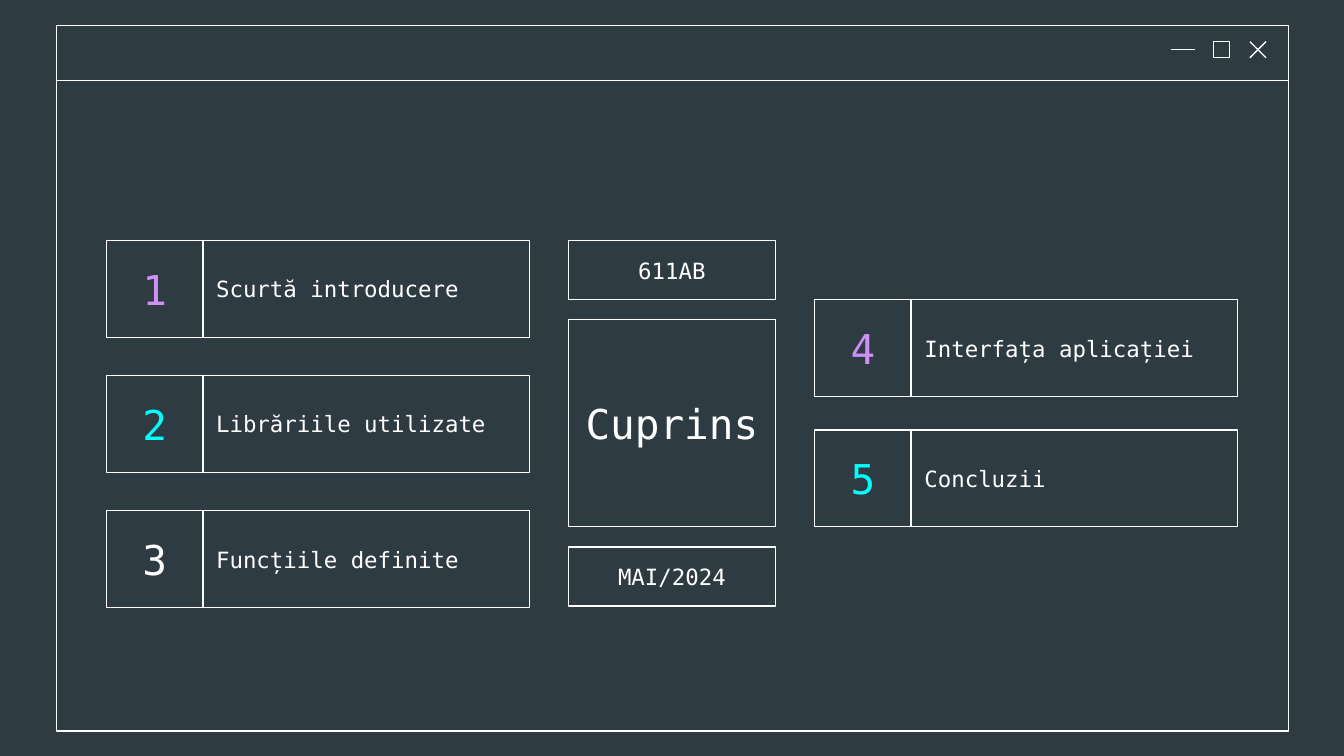
from pptx import Presentation
from pptx.dml.color import RGBColor
from pptx.enum.shapes import MSO_CONNECTOR as Link, MSO_SHAPE as Shape
from pptx.enum.text import MSO_ANCHOR as Anchor, PP_ALIGN as Align
from pptx.oxml.ns import qn
from pptx.util import Inches, Pt
from lxml.etree import SubElement

WHITE, VIOLET, CYAN = "FFFFFF", "CE90F7", "00FFFF"


def color(text):
    return RGBColor.from_string(text)


class Board:
    face = "DejaVu Sans Mono"
    ink = WHITE
    back = "2F3B42"
    width = 0.75
    frame = {"word_wrap": True, "vertical_anchor": Anchor.MIDDLE}
    frame.update({f"margin_{side}": Inches(0.1)
                  for side in ("left", "top", "right", "bottom")})

    def __init__(self, deck):
        self.slide = deck.slides.add_slide(deck.slide_layouts[6])
        fill = self.slide.background.fill
        fill.solid()
        fill.fore_color.rgb = color(self.back)

    def stroke(self, item):
        item.line.color.rgb = color(self.ink)
        item.line.width = Pt(self.width)

    def box(self, left, top, width, height):
        item = self.slide.shapes.add_shape(
            Shape.RECTANGLE, *map(Inches, (left, top, width, height)))
        item.shadow.inherit = False
        item.fill.background()
        self.stroke(item)
        return item

    def line(self, *ends):
        item = self.slide.shapes.add_connector(
            Link.STRAIGHT, *map(Inches, ends))
        self.stroke(item)
        SubElement(item._element.spPr, qn("a:effectLst"))

    def label(self, place, text, size=12, ink=WHITE, align=Align.CENTER):
        frame = self.box(*place).text_frame
        for name, value in self.frame.items():
            setattr(frame, name, value)
        para = frame.paragraphs[0]
        para.alignment = align
        run = para.add_run()
        run.text = text
        for name, value in {"name": self.face, "size": Pt(size)}.items():
            setattr(run.font, name, value)
        run.font.color.rgb = color(ink)

    def entry(self, left, top, number, title, ink):
        side = 0.72
        self.label((left, top, side, side), number, 22, ink)
        self.label((left + side, top, 2.43, side), title, align=Align.LEFT)

    def window(self):
        for height in (5.25, 0.41):
            self.box(0.42, 0.19, 9.17, height)
        self.line(9.3, 0.31, 9.42, 0.43)
        self.line(9.42, 0.31, 9.3, 0.43)
        self.line(8.71, 0.37, 8.89, 0.37)
        self.box(9.03, 0.31, 0.12, 0.12)


def main():
    deck = Presentation()
    deck.slide_width = Inches(10)
    deck.slide_height = deck.slide_width * 9 // 16
    board = Board(deck)
    board.window()

    inks = (VIOLET, CYAN, WHITE)
    columns = (
        (0.79, 1.79, 3.8, 1, ("Scurtă introducere", "Librăriile utilizate",
                              "Funcțiile definite")),
        (6.06, 2.23, 3.2, 4, ("Interfața aplicației", "Concluzii")),
    )
    for left, top, last, first, titles in columns:
        step = (last - top) / (len(titles) - 1)
        for row, (title, ink) in enumerate(zip(titles, inks)):
            board.entry(left, top + row * step, str(first + row), title, ink)

    for top, height, text, size in (
        (1.79, 0.44, "611AB", 12),
        (2.38, 1.54, "Cuprins", 22),
        (4.07, 0.44, "MAI/2024", 12),
    ):
        board.label((4.23, top, 1.54, height), text, size)

    deck.save("out.pptx")


if __name__ == "__main__":
    main()
